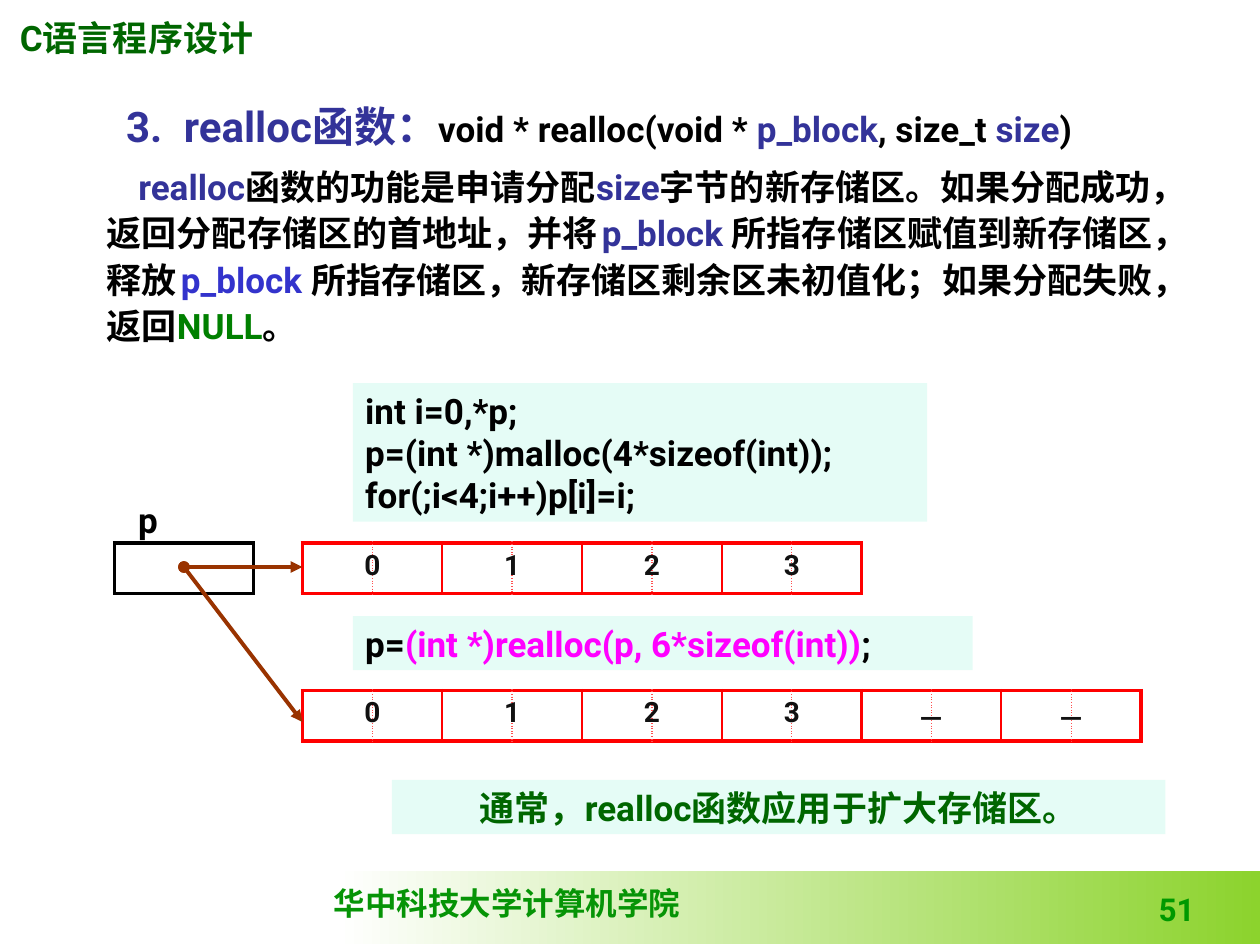
from lxml.etree import SubElement
from pptx import Presentation
from pptx.dml.color import RGBColor
from pptx.enum.shapes import MSO_CONNECTOR, MSO_SHAPE
from pptx.enum.text import MSO_ANCHOR, MSO_AUTO_SIZE, PP_ALIGN
from pptx.oxml.ns import qn
from pptx.util import Inches, Pt

BLACK = RGBColor(0x00, 0x00, 0x00)
WHITE = RGBColor(0xFF, 0xFF, 0xFF)
INK = RGBColor(0x11, 0x11, 0x11)
NAVY = RGBColor(0x33, 0x33, 0x99)
BLUE = RGBColor(0x33, 0x33, 0xCC)
GREEN = RGBColor(0x00, 0x80, 0x00)
FOREST = RGBColor(0x00, 0x66, 0x00)
LEAF = RGBColor(0x06, 0x94, 0x06)
GRASS = RGBColor(0x00, 0x99, 0x00)
LIME = RGBColor(0x8C, 0xD3, 0x2D)
MINT = RGBColor(0x00, 0xE4, 0xA8)
PINK = RGBColor(0xFF, 0x00, 0xFF)
RED = RGBColor(0xFF, 0x00, 0x00)
CORAL = RGBColor(0xFF, 0x50, 0x50)
BROWN = RGBColor(0x99, 0x33, 0x00)
FONT = "Roboto"
PLAIN = "{2D5ABB26-0587-4C30-8999-92F81FD0307C}"


def place(box):
    return [Inches(v) for v in box]


def write(frame, lines, size=20, align=PP_ALIGN.LEFT, anchor=MSO_ANCHOR.TOP, name=FONT):
    frame.word_wrap = True
    frame.auto_size = MSO_AUTO_SIZE.NONE
    frame.vertical_anchor = anchor
    for i, runs in enumerate(lines):
        para = frame.add_paragraph() if i else frame.paragraphs[0]
        para.alignment = align
        para.font.name = name
        para.font.bold = True
        para.font.size = Pt(size)
        for text, color, *small in runs:
            run = para.add_run()
            run.text = text
            run.font.color.rgb = color
            if small:
                run.font.size = Pt(small[0])


def add_text(slide, box, runs, **style):
    frame = slide.shapes.add_textbox(*place(box)).text_frame
    write(frame, [runs], **style)
    return frame.paragraphs[0]


def add_title(slide, box, runs):
    title = slide.shapes.title
    title.left, title.top, title.width, title.height = place(box)
    props = title.text_frame.paragraphs[0]._p.get_or_add_pPr()
    tabs = SubElement(props, qn("a:tabLst"))
    SubElement(tabs, qn("a:tab"), pos=str(Inches(0.46)), algn="l")
    write(title.text_frame, [runs])


def add_rect(slide, box):
    rect = slide.shapes.add_shape(MSO_SHAPE.RECTANGLE, *place(box))
    rect.shadow.inherit = False
    rect.line.fill.background()
    return rect


def add_band(slide, box):
    fill = add_rect(slide, box).fill
    fill.gradient()
    fill.gradient_angle = 0
    for stop, color, spot in zip(fill.gradient_stops, (WHITE, LIME), (0, 1)):
        stop.color.rgb = color
        stop.position = spot


def add_panel(slide, box, lines, **style):
    panel = add_rect(slide, box)
    panel.fill.solid()
    panel.fill.fore_color.rgb = MINT
    tint = panel._element.spPr.find(".//" + qn("a:srgbClr"))
    SubElement(tint, qn("a:alpha"), val="10000")
    write(panel.text_frame, lines, anchor=MSO_ANCHOR.MIDDLE, **style)


def add_row(slide, box, count):
    table = slide.shapes.add_table(1, count, *place(box)).table
    table.first_row = table.horz_banding = False
    table._tbl.tblPr.find(qn("a:tableStyleId")).text = PLAIN
    for col in table.columns:
        col.width = Inches(box[2] / count)
    return [table.cell(0, i) for i in range(count)]


def add_edge(cell, side, color, width, dash="solid"):
    edge = SubElement(cell._tc.get_or_add_tcPr(), qn("a:ln" + side), w=str(Pt(width)))
    fill = SubElement(edge, qn("a:solidFill"))
    SubElement(fill, qn("a:srgbClr"), val=str(color))
    SubElement(edge, qn("a:prstDash"), val=dash)


def add_grid(slide, box, count, color):
    def rule(i):
        if i in (0, count):
            return color, 2.25
        return (CORAL, 1, "sysDot") if i % 2 else (color, 1.5)

    for i, cell in enumerate(add_row(slide, box, count)):
        add_edge(cell, "L", *rule(i))
        add_edge(cell, "R", *rule(i + 1))
        add_edge(cell, "T", color, 2.25)
        add_edge(cell, "B", color, 2.25)
        cell.fill.background()
        cell.margin_top = cell.margin_bottom = 0


def add_marks(slide, box, marks):
    for cell, mark in zip(add_row(slide, box, len(marks)), marks):
        cell.fill.background()
        para = cell.text_frame.paragraphs[0]
        para.alignment = PP_ALIGN.CENTER
        run = para.add_run()
        run.text = mark
        font = run.font
        font.name, font.size, font.bold = FONT, Pt(16), True
        font.color.rgb = INK


def add_arrow(slide, start, end):
    arrow = slide.shapes.add_connector(MSO_CONNECTOR.STRAIGHT, *place(start + end))
    arrow.line.color.rgb = BROWN
    arrow.line.width = Pt(2.25)
    props = arrow._element.spPr
    line = props.find(qn("a:ln"))
    SubElement(line, qn("a:headEnd"), type="oval")
    SubElement(line, qn("a:tailEnd"), type="triangle")
    SubElement(props, qn("a:effectLst"))


def main():
    deck = Presentation()
    deck.slide_width, deck.slide_height = Inches(10), Inches(7.5)
    slide = deck.slides.add_slide(deck.slide_layouts[5])

    add_band(slide, (2.67, 6.91, 7.33, 0.58))
    add_text(slide, (2.55, 6.97, 2.95, 0.4), [("华中科技大学计算机学院", LEAF)],
             size=18, name="Times New Roman")
    add_text(slide, (0.06, 0.08, 2.05, 0.43), [("C语言程序设计", FOREST)])
    add_text(slide, (7.5, 6.95, 2.08, 0.46), [("51", GRASS)], size=18,
             align=PP_ALIGN.RIGHT, anchor=MSO_ANCHOR.BOTTOM)
    add_title(slide, (0.9, 0.75, 8.72, 0.5), [
        ("3.\trealloc函数：", NAVY, 24), ("void * realloc(void * ", BLACK, 20),
        ("p_block", NAVY, 20), (", size_t ", BLACK, 20), ("size", NAVY, 20),
        (")", BLACK, 20)])
    body = add_text(slide, (0.75, 1.23, 8.7, 1.57), [
        ("realloc", NAVY), ("函数的功能是申请分配", BLACK), ("size", NAVY),
        ("字节的新存储区。如果分配成功，返回分配存储区的首地址，并将", BLACK),
        (" ", BLACK, 10), ("p_block ", NAVY),
        ("所指存储区赋值到新存储区，释放", BLACK), (" ", BLACK, 10),
        ("p_block ", BLUE),
        ("所指存储区，新存储区剩余区未初值化；如果分配失败，返回", BLACK),
        ("NULL", GREEN), ("。", BLACK)], anchor=MSO_ANCHOR.MIDDLE)
    body.line_spacing = 1.1
    body._p.get_or_add_pPr().set("indent", str(Inches(0.25)))

    add_panel(slide, (2.8, 3.04, 4.56, 1.1), [
        [("int i=0,*p;", BLACK)],
        [("p=(int *)malloc(4*sizeof(int));", BLACK)],
        [("for(;i<4;i++)p[i]=i;", BLACK)]])
    add_panel(slide, (2.8, 4.89, 4.92, 0.43), [[
        ("p=", BLACK), ("(int *)realloc(p, 6*sizeof(int))", PINK), (";", BLACK)]])
    add_panel(slide, (3.11, 6.19, 6.14, 0.43),
              [[("通常，realloc函数应用于扩大存储区。", FOREST)]],
              align=PP_ALIGN.CENTER)

    add_text(slide, (0.94, 3.91, 0.47, 0.43), [("p", BLACK)], align=PP_ALIGN.CENTER)
    add_grid(slide, (0.91, 4.31, 1.1, 0.4), 1, BLACK)
    for top, marks in ((4.31, "0123"), (5.48, "0123－－")):
        width = 1.11 * len(marks)
        add_grid(slide, (2.4, top, width, 0.4), 2 * len(marks), RED)
        add_marks(slide, (2.4, top, width, 0.37), marks)
    for end in ((2.4, 4.5), (2.4, 5.73)):
        add_arrow(slide, (1.46, 4.5), end)

    deck.save("out.pptx")


if __name__ == "__main__":
    main()
